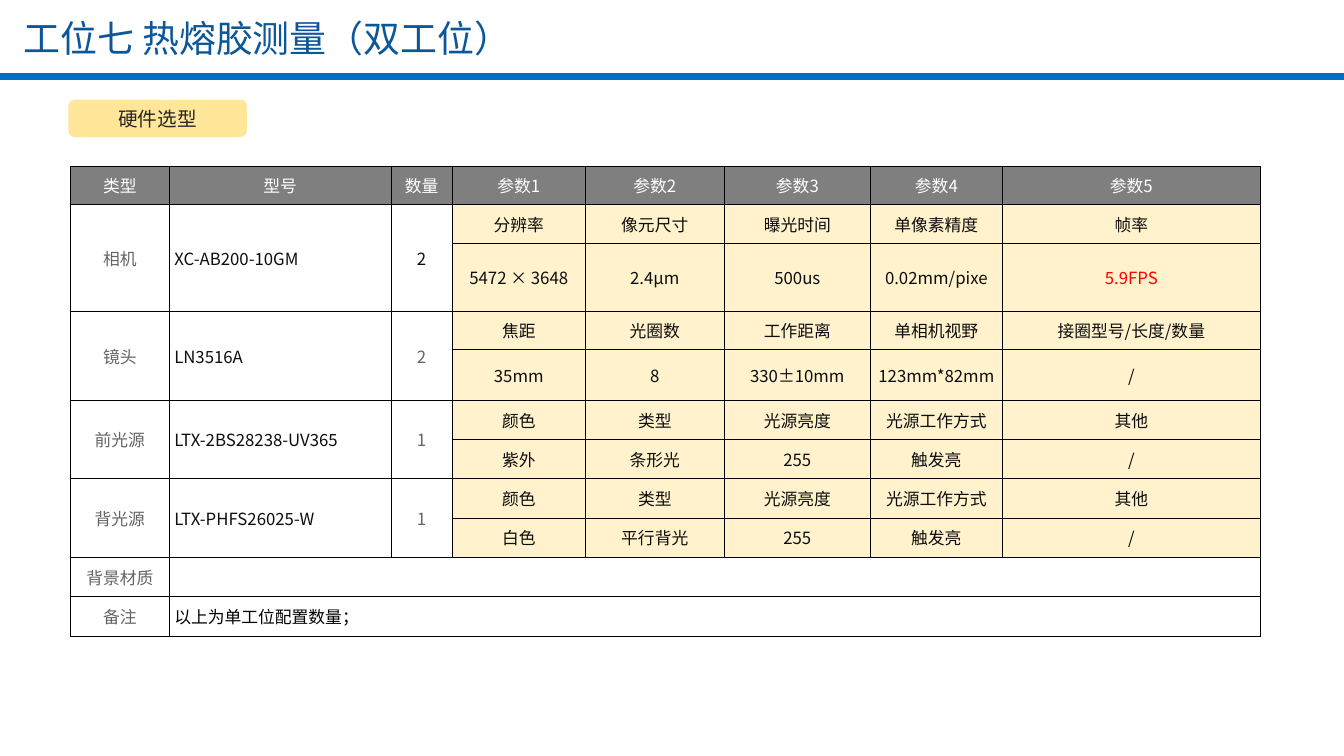
from dataclasses import dataclass

from lxml.etree import SubElement
from pptx import Presentation
from pptx.dml.color import RGBColor
from pptx.enum.shapes import MSO_CONNECTOR, MSO_SHAPE
from pptx.enum.text import MSO_ANCHOR, MSO_AUTO_SIZE, PP_ALIGN
from pptx.oxml.ns import qn
from pptx.util import Inches, Pt


@dataclass(frozen=True)
class Theme:
    font: str = "Noto Sans CJK SC"
    title: str = "0C5799"
    rule: str = "0070C0"
    badge: str = "FFE699"
    badge_text: str = "262626"
    header: str = "7F7F7F"
    param: str = "FFF2CC"
    white: str = "FFFFFF"
    label: str = "646464"
    ink: str = "0D0D0D"
    alert: str = "FF0000"
    border: str = "000000"
    title_size: float = 26.4
    badge_size: float = 14
    cell_size: float = 12


@dataclass(frozen=True)
class Device:
    kind: str
    model: str
    count: str
    params: tuple[str, ...]
    values: tuple[str, ...]
    count_color: str = Theme.label
    last_color: str = Theme.ink


T = Theme()
HEADERS = ("类型", "型号", "数量", *(f"参数{n}" for n in range(1, 6)))
LIGHT_PARAMS = ("颜色", "类型", "光源亮度", "光源工作方式", "其他")
DEVICES = (
    Device("相机", "XC-AB200-10GM", "2",
           ("分辨率", "像元尺寸", "曝光时间", "单像素精度", "帧率"),
           ("5472 × 3648", "2.4μm", "500us", "0.02mm/pixe", "5.9FPS"),
           count_color=T.ink, last_color=T.alert),
    Device("镜头", "LN3516A", "2",
           ("焦距", "光圈数", "工作距离", "单相机视野", "接圈型号/长度/数量"),
           ("35mm", "8", "330±10mm", "123mm*82mm", "/")),
    Device("前光源", "LTX-2BS28238-UV365", "1", LIGHT_PARAMS,
           ("紫外", "条形光", "255", "触发亮", "/")),
    Device("背光源", "LTX-PHFS26025-W", "1", LIGHT_PARAMS,
           ("白色", "平行背光", "255", "触发亮", "/")),
)
NOTES = (("背景材质", ""), ("备注", "以上为单工位配置数量；"))
COL_WIDTHS = (0.98, 2.2, 0.61, 1.32, 1.38, 1.45, 1.31, 2.56)
ROW_HEIGHTS = (0.38, 0.38, 0.68, 0.38, 0.5) + (0.39,) * 6


def rgb(color: str) -> RGBColor:
    return RGBColor.from_string(color)


def write(tf, text: str, size: float, color: str, align=PP_ALIGN.CENTER) -> None:
    p = tf.paragraphs[0]
    p.alignment = align
    p.font.size = Pt(size)
    if not text:
        SubElement(p._p, qn("a:endParaRPr"), sz=str(int(size * 100)))
        return
    r = p.add_run()
    r.text = text
    for name, value in {"name": T.font, "size": Pt(size), "bold": False}.items():
        setattr(r.font, name, value)
    r.font.color.rgb = rgb(color)
    SubElement(r._r.get_or_add_rPr(), qn("a:ea"), typeface=T.font)


def format_cell(cell, fill: str) -> None:
    margin = Inches(0.05)
    style = {"vertical_anchor": MSO_ANCHOR.MIDDLE, "margin_left": margin,
             "margin_right": margin, "margin_top": margin, "margin_bottom": margin}
    for name, value in style.items():
        setattr(cell, name, value)
    tc_pr = cell._tc.get_or_add_tcPr()
    for side in ("lnL", "lnR", "lnT", "lnB"):
        ln = SubElement(tc_pr, qn(f"a:{side}"), w=str(Pt(0.45)))
        SubElement(SubElement(ln, qn("a:solidFill")), qn("a:srgbClr"), val=T.border)
    cell.fill.solid()
    cell.fill.fore_color.rgb = rgb(fill)


def add_title(s, text: str) -> None:
    title = s.shapes.title
    box = {"left": 0.13, "top": 0.13, "width": 12, "height": 0.58}
    for name, value in box.items():
        setattr(title, name, Inches(value))
    tf = title.text_frame
    tf.auto_size = MSO_AUTO_SIZE.NONE
    tf.vertical_anchor = MSO_ANCHOR.MIDDLE
    write(tf, text, T.title_size, T.title, PP_ALIGN.LEFT)
    tf.paragraphs[0].line_spacing = 0.8


def add_rule(s, width: int) -> None:
    y = Inches(0.76)
    line = s.shapes.add_connector(MSO_CONNECTOR.STRAIGHT, 0, y, width, y)
    line.line.color.rgb = rgb(T.rule)
    line.line.width = Pt(4.75)
    SubElement(line._element.spPr, qn("a:effectLst"))


def add_badge(s, text: str) -> None:
    sp = s.shapes.add_shape(MSO_SHAPE.ROUNDED_RECTANGLE, Inches(0.68),
                            Inches(0.99), Inches(1.77), Inches(0.37))
    sp.shadow.inherit = False
    sp.fill.solid()
    sp.fill.fore_color.rgb = rgb(T.badge)
    sp.line.fill.background()
    sp.text_frame.vertical_anchor = MSO_ANCHOR.MIDDLE
    write(sp.text_frame, text, T.badge_size, T.badge_text)


def add_hardware_table(s) -> None:
    table = s.shapes.add_table(
        len(ROW_HEIGHTS), len(COL_WIDTHS), Inches(0.7), Inches(1.65),
        Inches(sum(COL_WIDTHS)), Inches(sum(ROW_HEIGHTS))).table
    table.first_row = table.horz_banding = False
    for column, width in zip(table.columns, COL_WIDTHS):
        column.width = Inches(width)
    for row, height in zip(table.rows, ROW_HEIGHTS):
        row.height = Inches(height)

    first_note = 1 + 2 * len(DEVICES)
    for i in range(len(ROW_HEIGHTS)):
        for j in range(len(COL_WIDTHS)):
            is_param = j >= 3 and i < first_note
            format_cell(table.cell(i, j),
                        T.header if i == 0 else T.param if is_param else T.white)

    def put(i: int, j: int, text: str, color: str, align=PP_ALIGN.CENTER) -> None:
        write(table.cell(i, j).text_frame, text, T.cell_size, color, align)

    for j, header in enumerate(HEADERS):
        put(0, j, header, T.white)
    for n, device in enumerate(DEVICES):
        top = 1 + 2 * n
        for j in range(3):
            table.cell(top, j).merge(table.cell(top + 1, j))
        put(top, 0, device.kind, T.label)
        put(top, 1, device.model, T.ink, PP_ALIGN.LEFT)
        put(top, 2, device.count, device.count_color)
        for j, (param, value) in enumerate(zip(device.params, device.values), 3):
            put(top, j, param, T.ink)
            is_last = j == len(COL_WIDTHS) - 1
            put(top + 1, j, value, device.last_color if is_last else T.ink)
    for i, (label, note) in enumerate(NOTES, first_note):
        table.cell(i, 1).merge(table.cell(i, len(COL_WIDTHS) - 1))
        put(i, 0, label, T.label)
        put(i, 1, note, T.border, PP_ALIGN.LEFT)


def main() -> None:
    prs = Presentation()
    prs.slide_width, prs.slide_height = Inches(13.34), Inches(7.5)
    s = prs.slides.add_slide(prs.slide_layouts[5])
    add_rule(s, prs.slide_width)
    add_hardware_table(s)
    add_badge(s, "硬件选型")
    add_title(s, "工位七 热熔胶测量（双工位）")
    prs.save("out.pptx")


if __name__ == "__main__":
    main()
